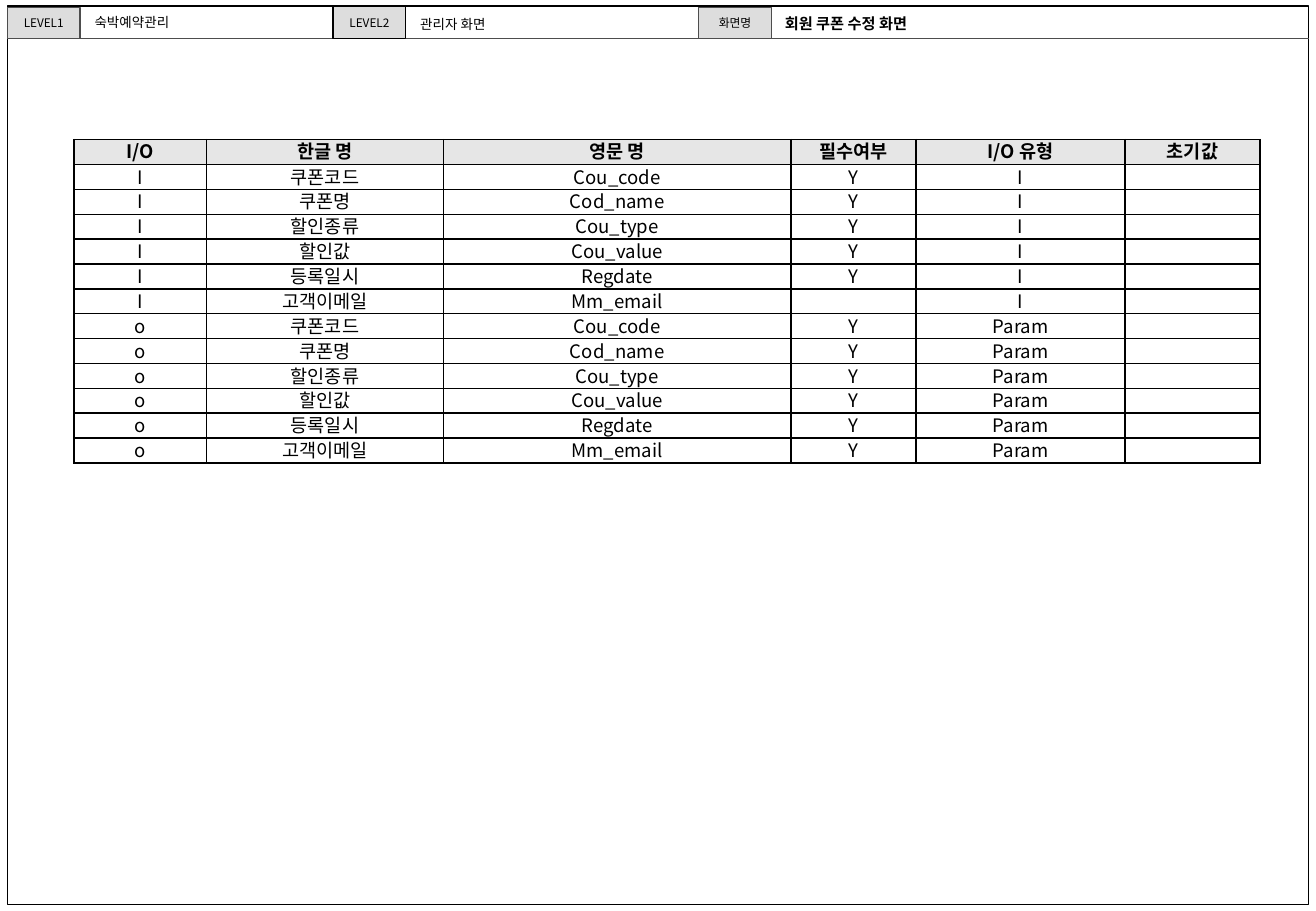
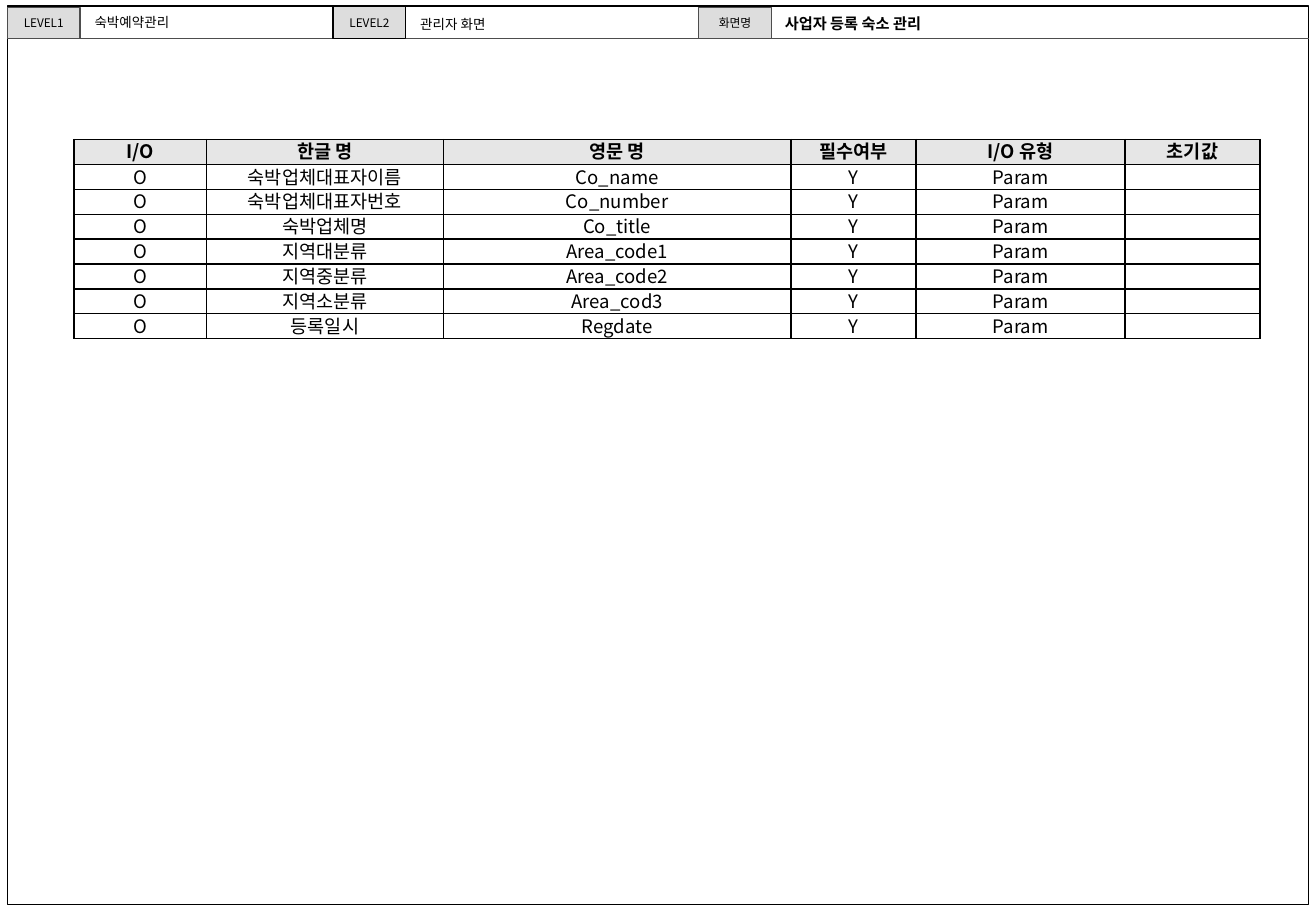
from dataclasses import dataclass

from lxml import etree
from pptx import Presentation
from pptx import util as u
from pptx.dml.color import RGBColor
from pptx.enum import shapes, text
from pptx.oxml import ns

Inches, Pt = u.Inches, u.Pt


@dataclass(frozen=True)
class Theme:
    black: str = "000000"
    dark: str = "4D4D4D"
    label: str = "DDDDDD"
    head: str = "E6E6E6"
    sans: str = "Noto Sans CJK KR"
    plain: str = "Arial"
    tag: float = 7
    note: float = 8
    title: float = 9
    cell: float = 11
    lead: float = 14
    line: float = 0.75
    rule: float = 1


HEAD = ["I/O", "한글 명", "영문 명", "필수여부", "I/O 유형", "초기값"]
COLS = [1.09, 1.95, 2.86, 1.03, 1.72, 1.11]
ROW = 2.66 / 13

COUPON = [
    ("쿠폰코드", "Cou_code"),
    ("쿠폰명", "Cod_name"),
    ("할인종류", "Cou_type"),
    ("할인값", "Cou_value"),
    ("등록일시", "Regdate"),
    ("고객이메일", "Mm_email"),
]
LODGE = [
    ("숙박업체대표자이름", "Co_name"),
    ("숙박업체대표자번호", "Co_number"),
    ("숙박업체명", "Co_title"),
    ("지역대분류", "Area_code1"),
    ("지역중분류", "Area_code2"),
    ("지역소분류", "Area_cod3"),
    ("등록일시", "Regdate"),
]


def color(code):
    return RGBColor.from_string(code)


def write(frame, words, size, font, ink, bold=False, lead=None,
          align=text.PP_ALIGN.LEFT):
    para = frame.paragraphs[0]
    para.alignment = align
    if lead:
        para.line_spacing = Pt(lead)
    if not words:
        end = etree.SubElement(para._p, ns.qn("a:endParaRPr"))
        end.set("sz", str(int(size * 100)))
        return
    run = para.add_run()
    run.text = words
    run.font.size = Pt(size)
    run.font.bold = bold
    run.font.name = font
    run.font.color.rgb = color(ink)
    east = etree.SubElement(run.font._element, ns.qn("a:ea"))
    east.set("typeface", Theme.sans)


class Deck:
    """Holds the theme and the current slide, and draws each kind of element."""

    def __init__(self, theme):
        self.theme = theme
        self.file = Presentation()
        self.file.slide_width = Inches(10.83)
        self.file.slide_height = Inches(7.5)
        self.slide = None

    def box(self, left, top, width, height, line, fill=None):
        shape = self.slide.shapes.add_shape(
            shapes.MSO_SHAPE.RECTANGLE,
            Inches(left), Inches(top), Inches(width), Inches(height))
        shape.shadow.inherit = False
        shape.line.color.rgb = color(line)
        shape.line.width = Pt(self.theme.line)
        if fill:
            shape.fill.solid()
            shape.fill.fore_color.rgb = color(fill)
        else:
            shape.fill.background()
        return shape

    def rule(self, left, right, top):
        line = self.slide.shapes.add_connector(
            shapes.MSO_CONNECTOR.STRAIGHT,
            Inches(left), Inches(top), Inches(right), Inches(top))
        line.line.color.rgb = color(self.theme.dark)
        line.line.width = Pt(self.theme.line)
        props = line._element.find(ns.qn("p:spPr"))
        etree.SubElement(props, ns.qn("a:effectLst"))

    def tag(self, words, left, top, height, line):
        shape = self.box(left, top, 0.6, height, line, self.theme.label)
        frame = shape.text_frame
        frame.vertical_anchor = text.MSO_ANCHOR.MIDDLE
        write(frame, words, self.theme.tag, self.theme.sans,
              self.theme.black, align=text.PP_ALIGN.CENTER)

    def label(self, words, left, top, width, height, size, font, bold=False):
        shape = self.slide.shapes.add_textbox(
            Inches(left), Inches(top), Inches(width), Inches(height))
        frame = shape.text_frame
        frame.word_wrap = True
        frame.auto_size = text.MSO_AUTO_SIZE.SHAPE_TO_FIT_TEXT
        write(frame, words, size, font, self.theme.black, bold=bold)

    def edge(self, cell):
        props = cell._tc.get_or_add_tcPr()
        for spot, side in enumerate(("lnL", "lnR", "lnT", "lnB")):
            line = etree.Element(ns.qn("a:" + side))
            line.set("w", str(Pt(self.theme.rule)))
            fill = etree.SubElement(line, ns.qn("a:solidFill"))
            ink = etree.SubElement(fill, ns.qn("a:srgbClr"))
            ink.set("val", self.theme.black)
            props.insert(spot, line)

    def cell(self, cell, words, head):
        side = Inches(0.07 if head else 0.01)
        cell.margin_left = cell.margin_right = side
        cell.margin_top = Inches(0 if head else 0.01)
        cell.margin_bottom = 0
        cell.vertical_anchor = text.MSO_ANCHOR.MIDDLE
        if head:
            cell.fill.solid()
            cell.fill.fore_color.rgb = color(self.theme.head)
        else:
            cell.fill.background()
        write(cell.text_frame, words, self.theme.cell, self.theme.sans,
              self.theme.black, bold=head, lead=self.theme.lead,
              align=text.PP_ALIGN.CENTER)
        self.edge(cell)

    def table(self, rows):
        data = [HEAD, *rows]
        grid = self.slide.shapes.add_table(
            len(data), len(COLS), Inches(0.61), Inches(1.15),
            Inches(sum(COLS)), Inches(ROW * len(data))).table
        grid.first_row = grid.horz_banding = False
        for col, width in zip(grid.columns, COLS):
            col.width = Inches(width)
        for y, row in enumerate(data):
            grid.rows[y].height = Inches(ROW)
            for x, words in enumerate(row):
                self.cell(grid.cell(y, x), words, y == 0)

    def page(self, title, rows):
        look = self.theme
        self.slide = self.file.slides.add_slide(self.file.slide_layouts[6])
        self.box(0.06, 0.05, 10.71, 7.4, look.black)
        self.rule(0.07, 10.77, 0.32)
        self.tag("LEVEL1", 0.06, 0.06, 0.26, look.dark)
        self.tag("화면명", 5.75, 0.06, 0.26, look.dark)
        self.tag("LEVEL2", 2.74, 0.05, 0.27, look.black)
        self.label("숙박예약관리", 0.68, 0.07, 1.99, 0.24, look.note, look.plain)
        self.label("관리자 화면", 3.36, 0.08, 1.99, 0.24, look.note, look.plain)
        self.table(rows)
        self.label(title, 6.36, 0.07, 1.82, 0.25, look.title, look.sans, bold=True)


def fill(mark, pairs, kind, blank=()):
    return [(mark, name, key, "" if key in blank else "Y", kind, "")
            for name, key in pairs]


def main():
    deck = Deck(Theme())
    deck.page("회원 쿠폰 수정 화면",
              fill("I", COUPON, "I", blank=("Mm_email",))
              + fill("o", COUPON, "Param"))
    deck.page("사업자 등록 숙소 관리", fill("O", LODGE, "Param"))
    deck.file.save("out.pptx")


if __name__ == "__main__":
    main()
